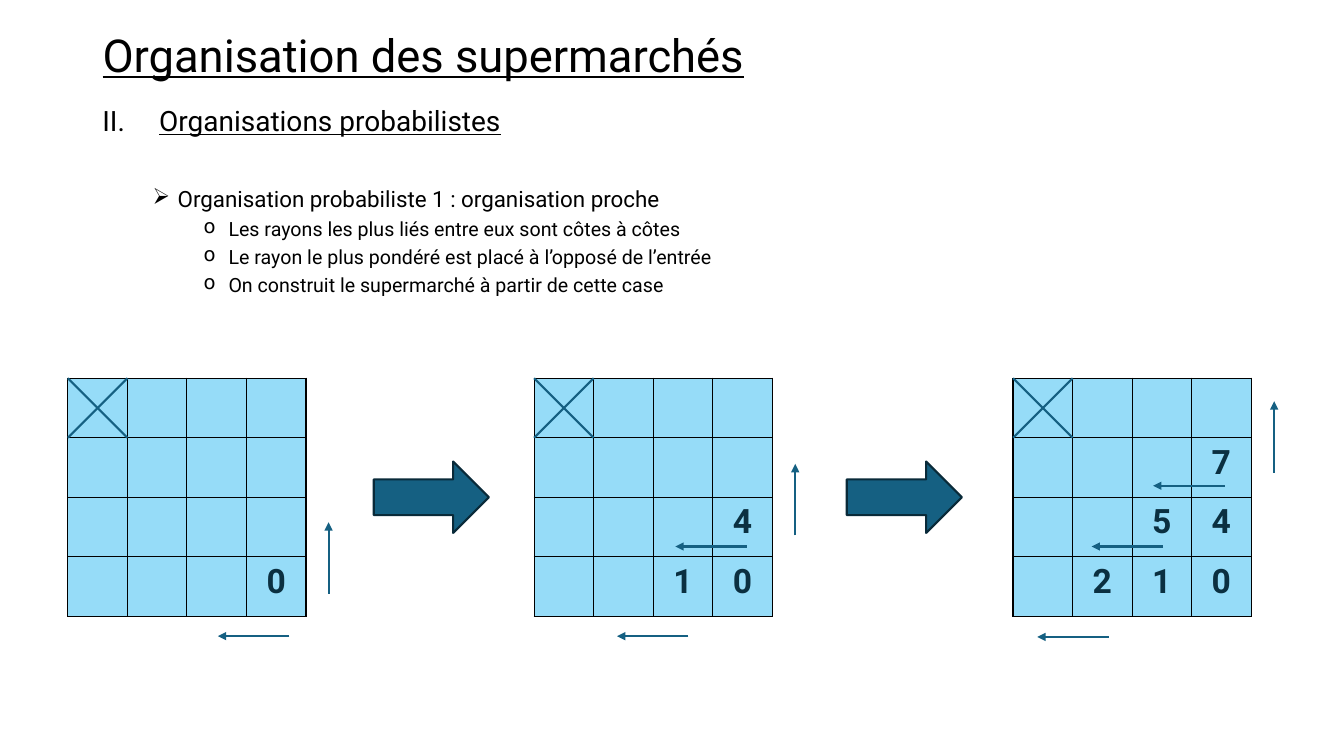
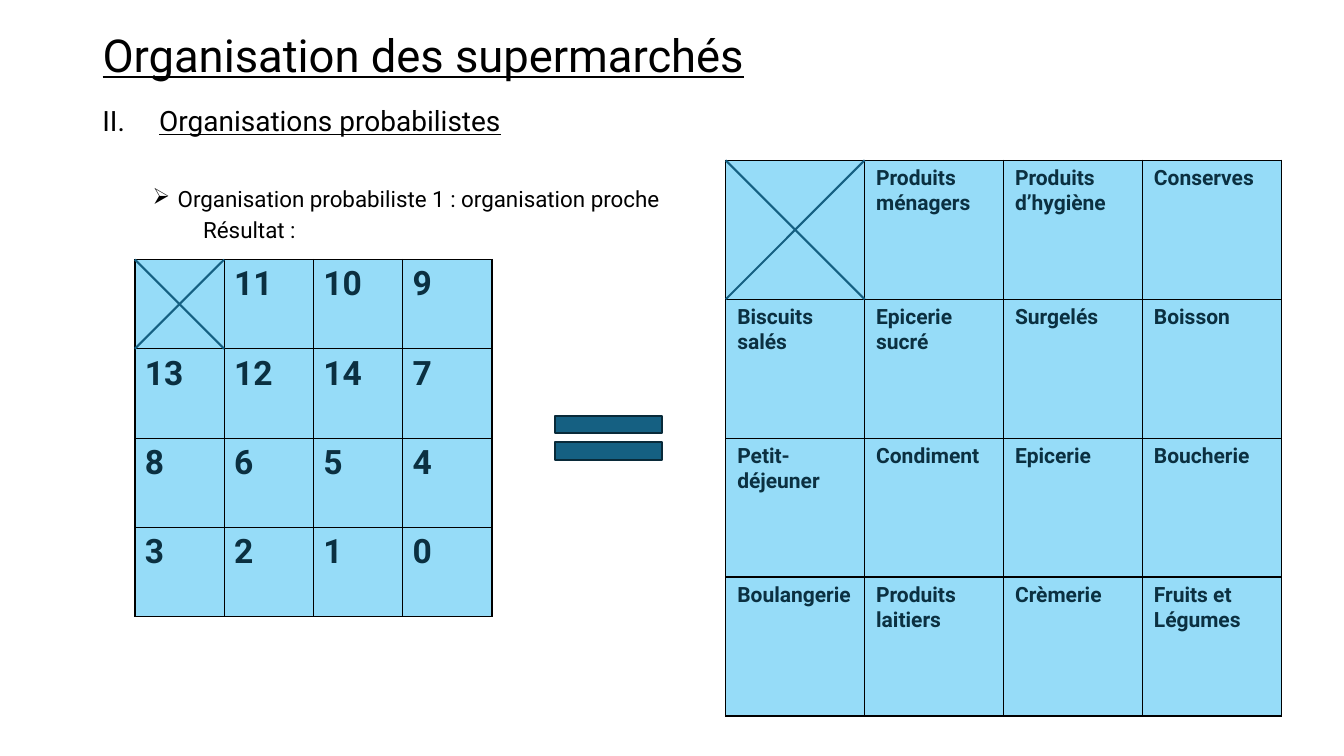
from dataclasses import dataclass

from lxml import etree
from pptx import Presentation
from pptx.dml.color import RGBColor
from pptx.enum.shapes import MSO_CONNECTOR as Connector, MSO_SHAPE as Shape
from pptx.enum.text import MSO_ANCHOR as Anchor, MSO_AUTO_SIZE as AutoSize, PP_ALIGN as Align
from pptx.oxml.ns import qn
from pptx.util import Cm, Pt


@dataclass(frozen=True)
class Theme:
    font: str = "Roboto"
    text: str = "000000"
    shelf: str = "96DCF8"
    label: str = "0B3041"
    accent: str = "156082"
    outline: str = "092A39"
    title_size: float = 32.4
    heading_size: float = 20
    topic_size: float = 16
    detail_size: float = 14
    number_size: float = 24
    product_size: float = 15
    line: float = 1.5
    border: float = 1


THEME = Theme()

# Shared content
TITLE = "Organisation des supermarchés"
OPENING = [
    ("heading", "Organisations probabilistes"),
    ("topic", "Organisation probabiliste 1 : organisation proche"),
]

# Paragraph styles: size, left margin and hanging indent in cm, space before, bullet
STYLES = {
    "heading": (THEME.heading_size, 1.43, -1.43, 0, ("buAutoNum", {"type": "romanUcPeriod", "startAt": "2"})),
    "topic": (THEME.topic_size, 1.9, -0.63, 36, ("buChar", {"char": "➢"})),
    "detail": (THEME.detail_size, 3.18, -0.63, 5, ("buChar", {"char": "o"})),
    "result": (THEME.topic_size, 2.54, 0, 5, ("buNone", {})),
}

# Construction steps
DETAILS = [
    ("detail", "Les rayons les plus liés entre eux sont côtes à côtes"),
    ("detail", "Le rayon le plus pondéré est placé à l’opposé de l’entrée"),
    ("detail", "On construit le supermarché à partir de cette case"),
]
STEP_TOP, STEP_CELL, MOVE_LENGTH = 9.53, 1.5, 1.8
DIRECTIONS = {"left": (-MOVE_LENGTH, 0), "up": (0, -MOVE_LENGTH)}
STEPS = [
    {
        "left": 1.71,
        "shelves": [["", "", "", ""], ["", "", "", ""], ["", "", "", ""], ["", "", "", "0"]],
        "moves": [("left", 7.29, 16.03), ("up", 8.28, 14.96)],
    },
    {
        "left": 13.46,
        "shelves": [["", "", "", ""], ["", "", "", ""], ["", "", "", "4"], ["", "", "1", "0"]],
        "moves": [("left", 17.35, 16.03), ("up", 20.04, 13.49), ("left", 18.82, 13.77)],
    },
    {
        "left": 25.53,
        "shelves": [["", "", "", ""], ["", "", "", "7"], ["", "", "5", "4"], ["", "2", "1", "0"]],
        "moves": [("left", 27.94, 16.05), ("up", 32.11, 11.91),
                  ("left", 29.31, 13.77), ("left", 30.86, 12.24)],
    },
]
NEXT_STEP_LEFTS = [9.42, 21.34]

# Resulting layout
RESULT = [("result", "Résultat :")]
NUMBERS = [
    ["", "11", "10", "9"],
    ["13", "12", "14", "7"],
    ["8", "6", "5", "4"],
    ["3", "2", "1", "0"],
]
PRODUCTS = [
    ["", "Produits ménagers", "Produits d’hygiène", "Conserves"],
    ["Biscuits salés", "Epicerie sucré", "Surgelés", "Boisson"],
    ["Petit-déjeuner", "Condiment", "Epicerie", "Boucherie"],
    ["Boulangerie", "Produits laitiers", "Crèmerie", "Fruits et Légumes"],
]


def color(value):
    return RGBColor.from_string(value)


def format_runs(paragraph, size, ink=THEME.text, bold=False, underline=False):
    for run in paragraph.runs:
        run.font.name = THEME.font
        run.font.size = Pt(size)
        run.font.color.rgb = color(ink)
        run.font.bold = bold
        run.font.underline = underline


def start_slide(deck, paragraphs, text_height):
    slide = deck.slides.add_slide(deck.slide_layouts[5])

    # Title
    title = slide.shapes.title
    title.left, title.top, title.width, title.height = Cm(2.33), Cm(1.02), Cm(24.05), Cm(0.89)
    frame = title.text_frame
    frame.text = TITLE
    frame.auto_size = AutoSize.NONE
    frame.vertical_anchor = Anchor.MIDDLE
    heading = frame.paragraphs[0]
    heading.alignment = Align.LEFT
    heading.line_spacing = 0.9
    format_runs(heading, THEME.title_size, underline=True)

    # Outline
    outline = slide.shapes.add_textbox(Cm(2.33), Cm(2.59), Cm(15.9), Cm(text_height)).text_frame
    outline.word_wrap = True
    for index, (style, text) in enumerate(OPENING + paragraphs):
        size, margin, indent, before, (bullet, attributes) = STYLES[style]
        paragraph = outline.paragraphs[0] if index == 0 else outline.add_paragraph()
        paragraph.text = text
        properties = paragraph._p.get_or_add_pPr()
        properties.set("marL", str(Cm(margin)))
        properties.set("indent", str(Cm(indent)))
        etree.SubElement(properties, qn(f"a:{bullet}"), attributes)
        paragraph.line_spacing = 0.9
        paragraph.space_before = Pt(before)
        format_runs(paragraph, size, underline=style == "heading")
    return slide


def add_line(slide, x1, y1, x2, y2, arrow=False):
    line = slide.shapes.add_connector(Connector.STRAIGHT, Cm(x1), Cm(y1), Cm(x2), Cm(y2))
    line.line.color.rgb = color(THEME.accent)
    line.line.width = Pt(THEME.line)
    if arrow:
        etree.SubElement(line.line._get_or_add_ln(), qn("a:tailEnd"), type="triangle")
    etree.SubElement(line._element.spPr, qn("a:effectLst"))


def add_borders(cell):
    properties = cell._tc.get_or_add_tcPr()
    for side in ("lnL", "lnR", "lnT", "lnB"):
        border = etree.SubElement(properties, qn(f"a:{side}"), w=str(Pt(THEME.border)))
        fill = etree.SubElement(border, qn("a:solidFill"))
        etree.SubElement(fill, qn("a:srgbClr"), val=THEME.text)


def add_shelves(slide, shelves, left, top, side, size, align=Align.LEFT, margins=(0.25, 0.13)):
    """Draw a square grid whose first cell, the entrance, is crossed out."""
    count = len(shelves)
    span = Cm(side * count)
    table = slide.shapes.add_table(count, count, Cm(left), Cm(top), span, span).table
    table.first_row = table.horz_banding = False
    for index, row in enumerate(shelves):
        table.rows[index].height = table.columns[index].width = Cm(side)
        for column, text in enumerate(row):
            cell = table.cell(index, column)
            add_borders(cell)
            cell.fill.solid()
            cell.fill.fore_color.rgb = color(THEME.shelf)
            cell.margin_left = cell.margin_right = Cm(margins[0])
            cell.margin_top = cell.margin_bottom = Cm(margins[1])
            if text:
                cell.text_frame.text = text
                label = cell.text_frame.paragraphs[0]
                label.alignment = align
                format_runs(label, size, THEME.label, bold=True)
    add_line(slide, left, top, left + side, top + side)
    add_line(slide, left + side, top, left, top + side)


def add_symbol(slide, kind, left, top, width, height):
    symbol = slide.shapes.add_shape(kind, Cm(left), Cm(top), Cm(width), Cm(height))
    symbol.shadow.inherit = False
    symbol.fill.solid()
    symbol.fill.fore_color.rgb = color(THEME.accent)
    symbol.line.color.rgb = color(THEME.outline)
    symbol.line.width = Pt(THEME.line)


def build_steps(deck):
    slide = start_slide(deck, DETAILS, 5.1)
    for step in STEPS:
        add_shelves(slide, step["shelves"], step["left"], STEP_TOP, STEP_CELL,
                    THEME.number_size, Align.CENTER)
        for direction, x, y in step["moves"]:
            dx, dy = DIRECTIONS[direction]
            add_line(slide, x, y, x + dx, y + dy, arrow=True)
    for left in NEXT_STEP_LEFTS:
        add_symbol(slide, Shape.RIGHT_ARROW, left, 11.63, 2.9, 1.8)


def build_result(deck):
    slide = start_slide(deck, RESULT, 3.7)
    add_shelves(slide, PRODUCTS, 18.29, 4.04, 3.5, THEME.product_size, margins=(0.29, 0.15))
    add_shelves(slide, NUMBERS, 3.4, 6.54, 2.25, THEME.number_size)
    add_symbol(slide, Shape.MATH_EQUAL, 13.51, 10.08, 3.66, 1.91)


def main():
    deck = Presentation()
    deck.slide_width, deck.slide_height = Cm(33.87), Cm(19.05)
    build_steps(deck)
    build_result(deck)
    deck.save("out.pptx")


if __name__ == "__main__":
    main()
